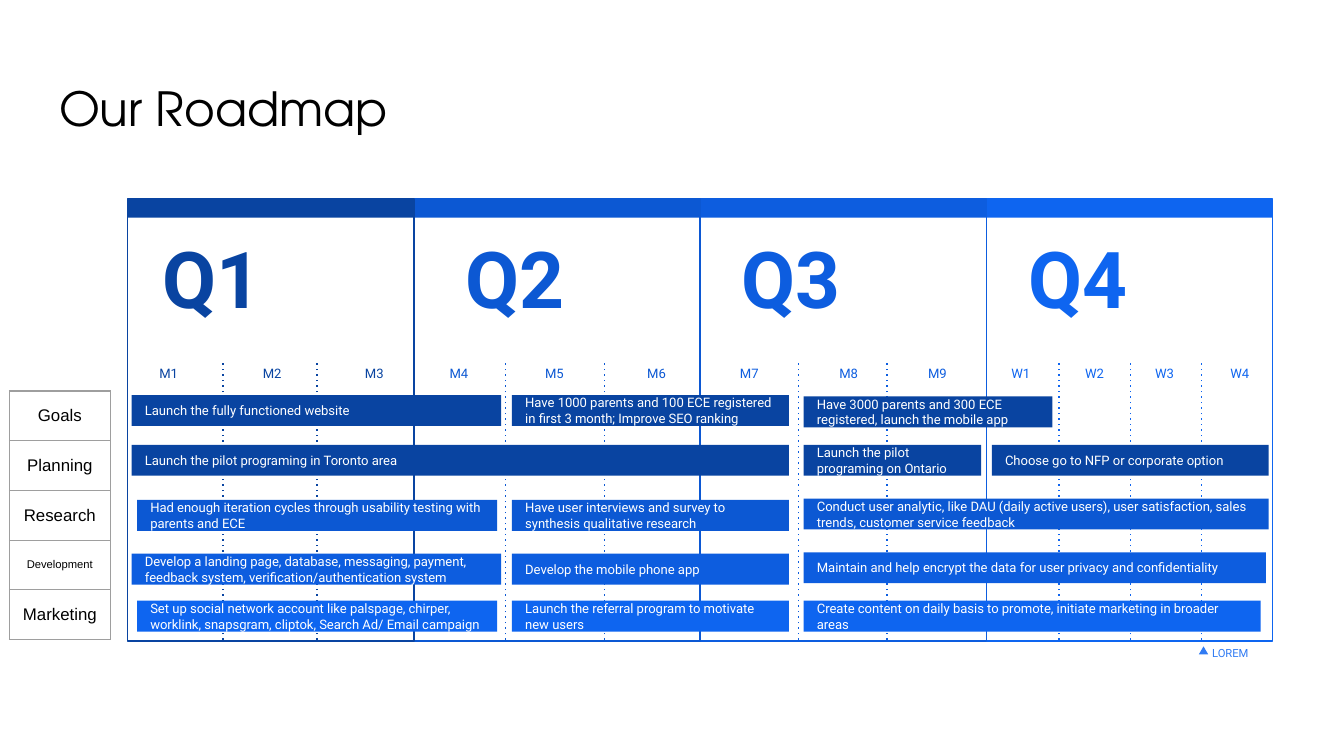
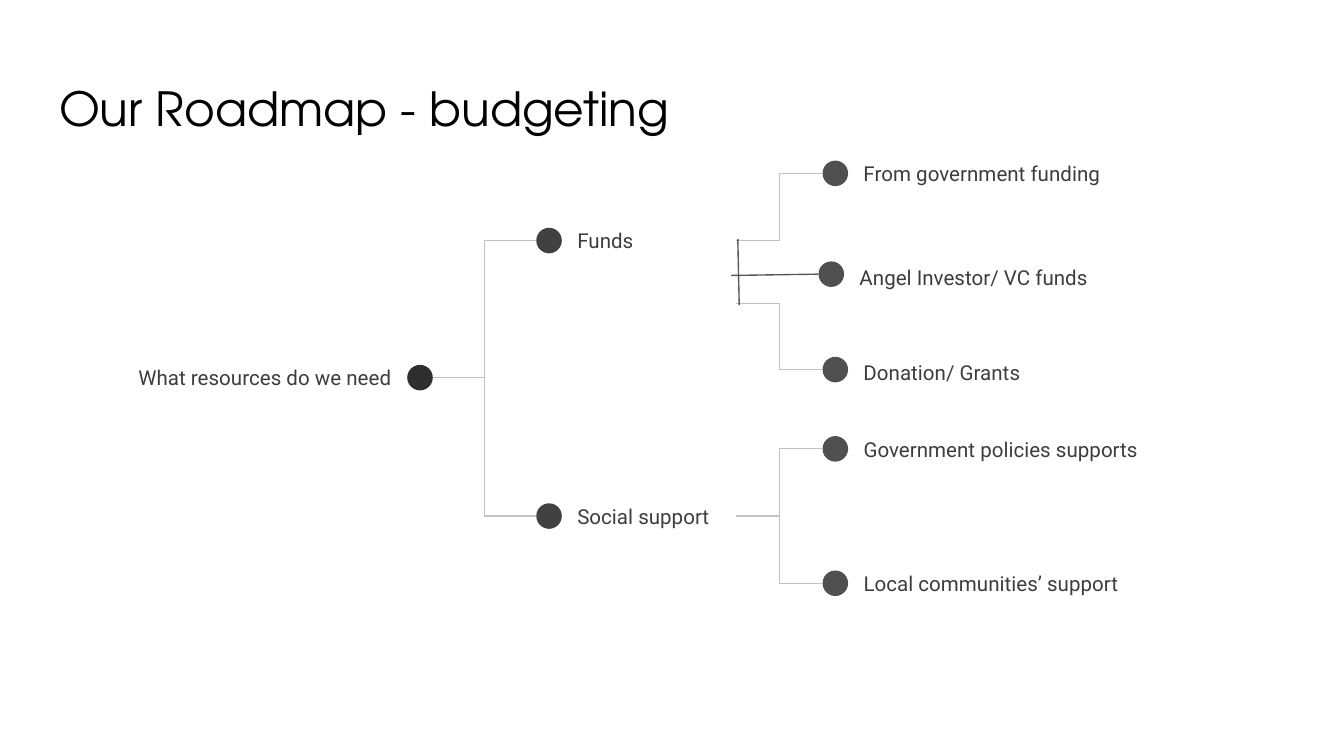
from lxml.etree import SubElement
from pptx import Presentation
from pptx.dml.color import RGBColor
from pptx.enum.shapes import MSO_CONNECTOR as LINK, MSO_SHAPE as SHAPE
from pptx.enum.text import MSO_ANCHOR as ANCHOR, MSO_AUTO_SIZE as FIT, PP_ALIGN as ALIGN
from pptx.oxml.ns import qn
from pptx.util import Inches, Pt

COLORS = {
    "black": "000000", "white": "FFFFFF", "grid": "9E9E9E", "marker": "307BF3",
    "q1": "0944A1", "q2": "0C58D3", "q3": "0D5DDF", "q4": "0E65F0",
    "branch": "C2C2C2", "stroke": "595959", "label": "3D3D3D",
    "root": "2F2F2F", "topic": "414141", "leaf": "505050",
}
BODY_FONT = "Roboto"
TITLE_FONT = "TeX Gyre Adventor"
INSET = 0.1

CHART_LEFT, CHART_TOP, CHART_HEIGHT = 0.95, 1.48, 3.29
QUARTER_WIDTH, BAND_HEIGHT = 2.13, 0.14
PERIOD_TOP, CHART_BOTTOM = 2.68, 4.76
BAR_HEIGHT = 0.23
QUARTERS = [
    ("Q1", 1.25, 0.35, [("M1", 1.08), ("M2", 1.85), ("M3", 2.61)], [1.66, 2.36]),
    ("Q2", 1.5, 0.37, [("M4", 3.23), ("M5", 3.94), ("M6", 4.7)], [3.76, 4.5]),
    ("Q3", 1.35, 0.37, [("M7", 5.39), ("M8", 6.13), ("M9", 6.79)], [5.94, 6.6]),
    ("Q4", 1.36, 0.37, [("W1", 7.41), ("W2", 7.96), ("W3", 8.48), ("W4", 9.04)],
     [7.88, 8.41, 8.94]),
]
BARS = [
    ("q1", 0.98, 2.94, 2.75, "Launch the fully functioned website"),
    ("q1", 3.81, 2.94, 2.06,
     "Have 1000 parents and 100 ECE registered in first 3 month; Improve SEO ranking"),
    ("q1", 5.98, 2.95, 1.85, "Have 3000 parents and 300 ECE registered, launch the mobile app"),
    ("q1", 0.98, 3.31, 4.89, "Launch the pilot programing in Toronto area"),
    ("q1", 5.98, 3.31, 1.32, "Launch the pilot programing on Ontario"),
    ("q1", 7.38, 3.31, 2.06, "Choose go to NFP or corporate option"),
    ("q2", 1.02, 3.72, 2.68,
     "Had enough iteration cycles through usability testing with parents and ECE"),
    ("q2", 3.81, 3.72, 2.06, "Have user interviews and survey to synthesis qualitative research"),
    ("q2", 5.98, 3.71, 3.46,
     "Conduct user analytic, like DAU (daily active users), user satisfaction, sales trends, "
     "customer service feedback"),
    ("q3", 0.98, 4.12, 2.75,
     "Develop a landing page, database, messaging, payment, feedback system, "
     "verification/authentication system"),
    ("q3", 3.81, 4.12, 2.06, "Develop the mobile phone app"),
    ("q3", 5.98, 4.11, 3.44,
     "Maintain and help encrypt the data for user privacy and confidentiality"),
    ("q4", 1.02, 4.47, 2.68,
     "Set up social network account like palspage, chirper, worklink, snapsgram, cliptok, "
     "Search Ad/ Email campaign"),
    ("q4", 3.81, 4.47, 2.06, "Launch the referral program to motivate new users"),
    ("q4", 5.98, 4.47, 3.4,
     "Create content on daily basis to promote, initiate marketing in broader areas"),
]
WORKSTREAMS = [("Goals", 9), ("Planning", 9), ("Research", 9), ("Development", 6), ("Marketing", 9)]

DOT_SIZE, LABEL_HEIGHT = 0.19, 0.35
NODES = [
    ("topic", 3.99, 1.79, 1.29, 0, "Funds"),
    ("topic", 3.99, 3.84, 1.29, 0, "Social support"),
    ("leaf", 6.12, 1.29, 2.47, 0, "From government funding"),
    ("leaf", 6.09, 2.04, 2.47, 0.02, "Angel Investor/ VC funds"),
    ("leaf", 6.12, 2.75, 2.47, 0.02, "Donation/ Grants"),
    ("leaf", 6.12, 3.34, 2.85, 0, "Government policies supports"),
    ("leaf", 6.12, 4.34, 2.32, 0, "Local communities’ support"),
]
BRANCHES = [
    ((3.22, 2.81), (3.99, 3.84)), ((3.22, 2.81), (3.99, 1.79)),
    ((5.48, 1.79), (6.12, 1.29)), ((5.48, 2.26), (6.12, 2.75)),
    ((5.48, 3.84), (6.12, 3.34)), ((5.48, 3.84), (6.12, 4.34)),
]
STROKES = [((5.44, 2.05), (6.09, 2.04)), ((5.49, 1.78), (5.5, 2.27))]


def rgb(name):
    """Return the named colour."""
    return RGBColor.from_string(COLORS[name])


def write(frame, text, size, color, font=BODY_FONT, align=ALIGN.LEFT, anchor=ANCHOR.MIDDLE, bold=False):
    """Put one formatted run into a text frame."""
    frame.word_wrap = True
    frame.auto_size = FIT.NONE
    frame.vertical_anchor = anchor
    frame.margin_left = frame.margin_right = Inches(INSET)
    frame.margin_top = frame.margin_bottom = Inches(INSET)
    paragraph = frame.paragraphs[0]
    paragraph.alignment = align
    run = paragraph.add_run()
    run.text = text
    run.font.name, run.font.size, run.font.bold = font, Pt(size), bold
    run.font.color.rgb = rgb(color)


def add_box(slide, left, top, width, height, fill=None, line=None, kind=SHAPE.RECTANGLE):
    """Add a flat preset shape."""
    box = slide.shapes.add_shape(kind, Inches(left), Inches(top), Inches(width), Inches(height))
    box.shadow.inherit = False
    if fill:
        box.fill.solid()
        box.fill.fore_color.rgb = rgb(fill)
    else:
        box.fill.background()
    if line:
        box.line.color.rgb = rgb(line)
        box.line.width = Pt(0.75)
    else:
        box.line.fill.background()
    return box


def add_label(slide, left, top, width, height, text, size, color, **style):
    """Add a text box with one run."""
    label = slide.shapes.add_textbox(Inches(left), Inches(top), Inches(width), Inches(height))
    write(label.text_frame, text, size, color, **style)


def add_link(slide, start, end, color, kind=LINK.STRAIGHT, dotted=False):
    """Add a thin connector between two points."""
    link = slide.shapes.add_connector(kind, *(Inches(value) for value in (*start, *end)))
    link.line.color.rgb = rgb(color)
    link.line.width = Pt(0.75)
    if dotted:
        SubElement(link.line._get_or_add_ln(), qn("a:prstDash"), val="dot")
    SubElement(link._element.spPr, qn("a:effectLst"))


def add_titled_slide(deck, title):
    """Add a title-only slide with the shared title style."""
    slide = deck.slides.add_slide(deck.slide_layouts[5])
    heading = slide.shapes.title
    heading.left, heading.top = Inches(0.34), Inches(0.49)
    heading.width, heading.height = Inches(9.32), Inches(0.63)
    write(heading.text_frame, title, 25.2, "black", TITLE_FONT, anchor=ANCHOR.TOP)
    return slide


def add_quarter(slide, index, name, name_width, period_width, periods, dividers):
    """Add one quarter column with its band, periods and dividers."""
    color = name.lower()
    left = CHART_LEFT + index * QUARTER_WIDTH
    add_box(slide, left, CHART_TOP, QUARTER_WIDTH, CHART_HEIGHT, line=color)
    add_box(slide, left, CHART_TOP, QUARTER_WIDTH, BAND_HEIGHT, fill=color)
    add_label(slide, left, CHART_TOP + BAND_HEIGHT, name_width, 0.89, name, 42, color,
              align=ALIGN.CENTER, bold=True)
    for period, period_left in periods:
        add_label(slide, period_left, PERIOD_TOP, period_width, 0.2, period, 7, color,
                  align=ALIGN.CENTER)
    for x in dividers:
        add_link(slide, (x, CHART_BOTTOM), (x, PERIOD_TOP), color, dotted=True)


def add_cell_borders(cell):
    """Draw a thin grid line on every side of a cell."""
    properties = cell._tc.get_or_add_tcPr()
    for index, side in enumerate(("lnL", "lnR", "lnT", "lnB")):
        edge = properties.makeelement(qn(f"a:{side}"), {"w": str(Pt(0.75))})
        fill = SubElement(edge, qn("a:solidFill"))
        SubElement(fill, qn("a:srgbClr"), val=COLORS["grid"])
        properties.insert(index, edge)


def add_workstreams(slide):
    """Add the one-column table of workstream names."""
    row_height = 0.37
    table = slide.shapes.add_table(len(WORKSTREAMS), 1, Inches(0.07), Inches(2.91), Inches(0.75),
                                   Inches(row_height * len(WORKSTREAMS))).table
    table.first_row = table.horz_banding = False
    for row, (name, size) in zip(table.rows, WORKSTREAMS):
        row.height = Inches(row_height)
        cell = row.cells[0]
        cell.fill.background()
        cell.vertical_anchor = ANCHOR.MIDDLE
        cell.margin_left = cell.margin_right = Inches(INSET)
        cell.margin_top = cell.margin_bottom = Inches(INSET)
        paragraph = cell.text_frame.paragraphs[0]
        paragraph.alignment = ALIGN.CENTER
        run = paragraph.add_run()
        run.text = name
        run.font.name, run.font.size = "Arial", Pt(size)
        run.font.color.rgb = rgb("black")
        add_cell_borders(cell)


def add_node(slide, color, left, middle, label_left, label_width, label_shift, text, align=ALIGN.LEFT):
    """Add a tree node: a dot and its label."""
    label = add_box(slide, label_left, middle + label_shift - LABEL_HEIGHT / 2, label_width,
                    LABEL_HEIGHT, kind=SHAPE.ROUNDED_RECTANGLE)
    write(label.text_frame, text, 11, "label", align=align)
    add_box(slide, left, middle - DOT_SIZE / 2, DOT_SIZE, DOT_SIZE, fill=color, kind=SHAPE.OVAL)


def build_roadmap(deck):
    """Build the quarterly roadmap slide."""
    slide = add_titled_slide(deck, "Our Roadmap")
    for index, quarter in reversed(list(enumerate(QUARTERS))):
        add_quarter(slide, index, *quarter)
    for color, left, top, width, text in BARS:
        bar = add_box(slide, left, top, width, BAR_HEIGHT, fill=color)
        write(bar.text_frame, text, 7, "white")
    add_label(slide, 8.92, 4.8, 0.55, 0.11, "LOREM", 6, "marker")
    add_box(slide, 8.92, 4.81, 0.07, 0.06, fill="marker", kind=SHAPE.ISOSCELES_TRIANGLE)
    add_workstreams(slide)


def build_budgeting(deck):
    """Build the resource tree slide."""
    slide = add_titled_slide(deck, "Our Roadmap - budgeting")
    for start, end in BRANCHES:
        add_link(slide, start, end, "branch", LINK.ELBOW)
    add_node(slide, "root", 3.03, 2.81, 0.68, 2.35, 0, "What resources do we need", ALIGN.RIGHT)
    for color, left, middle, width, shift, text in NODES:
        add_node(slide, color, left, middle, left + DOT_SIZE, width, shift, text)
    for start, end in STROKES:
        add_link(slide, start, end, "stroke")


def main():
    """Build and save the widescreen deck."""
    deck = Presentation()
    deck.slide_width = Inches(10)
    deck.slide_height = deck.slide_width * 9 // 16
    build_roadmap(deck)
    build_budgeting(deck)
    deck.save("out.pptx")


if __name__ == "__main__":
    main()
